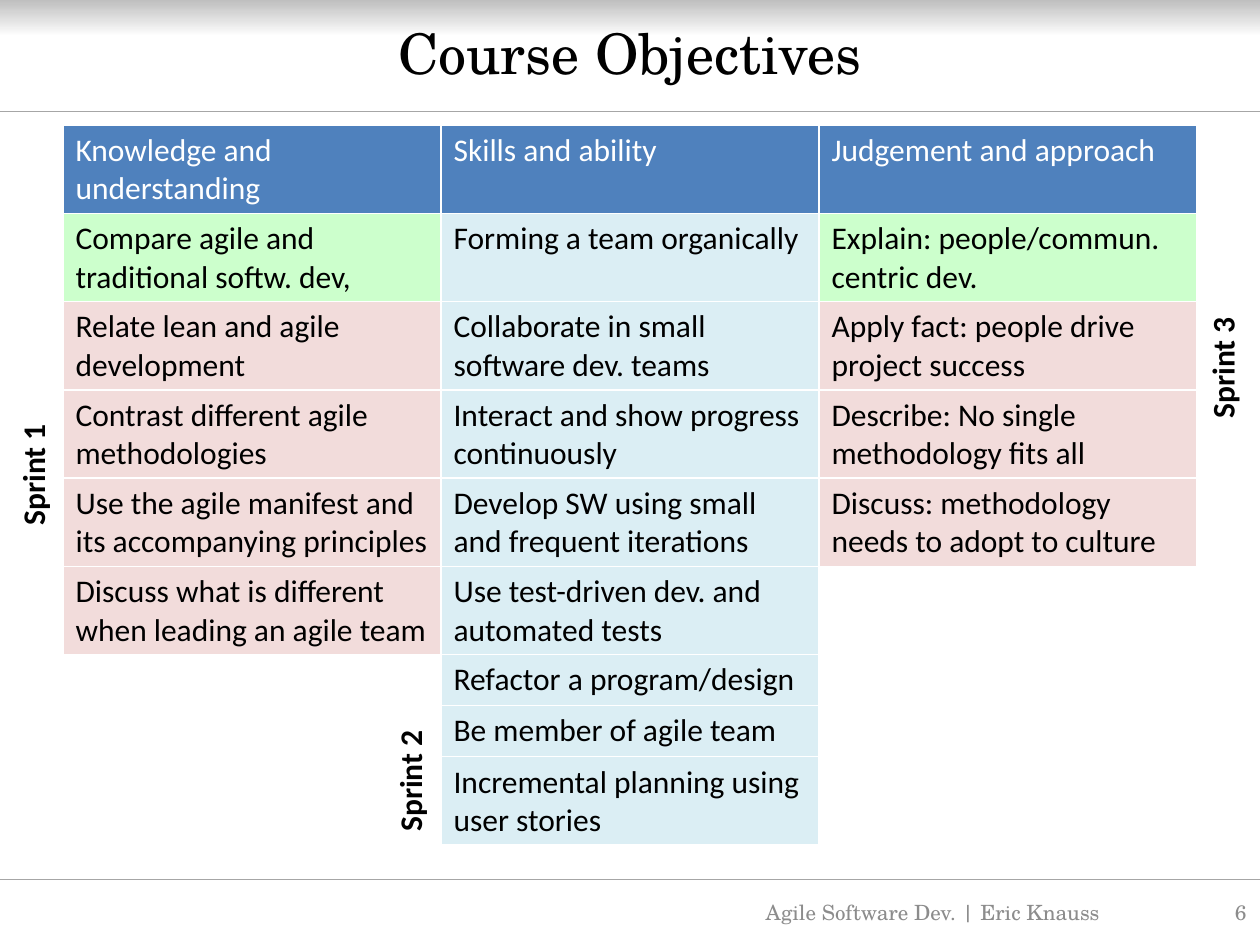
from lxml import etree
from pptx import Presentation
from pptx import util as u
from pptx.dml.color import RGBColor
from pptx.enum import shapes, text
from pptx.oxml.ns import qn

SERIF, SANS = "TeX Gyre Schola", "Calibri"
WIDTH, HEIGHT = 25.4, 19.05
BLUE, GREEN, PINK, AQUA, WHITE = "4F81BD", "CCFFCC", "F2DCDB", "DBEEF4", "FFFFFF"

# Each column: heading, colour of its first goal, colour of the others, goals
OBJECTIVES = [
    ("Knowledge and understanding", GREEN, PINK, [
        "Compare agile and traditional softw. dev,",
        "Relate lean and agile development",
        "Contrast different agile methodologies",
        "Use the agile manifest and its accompanying principles",
        "Discuss what is different when leading an agile team"]),
    ("Skills and ability", AQUA, AQUA, [
        "Forming a team organically",
        "Collaborate in small software dev. teams",
        "Interact and show progress continuously",
        "Develop SW using small and frequent iterations",
        "Use test-driven dev. and automated tests",
        "Refactor a program/design",
        "Be member of agile team",
        "Incremental planning using user stories"]),
    ("Judgement and approach", GREEN, PINK, [
        "Explain: people/commun. centric dev.",
        "Apply fact: people drive project success",
        "Describe: No single methodology fits all",
        "Discuss: methodology needs to adopt to culture"]),
]
SPRINTS = [("Sprint 1", -0.64, 9.04), ("Sprint 2", 6.96, 15.21), ("Sprint 3", 23.34, 6.88)]


def rgb(color):
    return RGBColor.from_string(color)


def set_font(p, name, size, color, bold=False):
    f = p.font
    f.name, f.size, f.bold = name, u.Pt(size), bold
    f.color.rgb = rgb(color)


def add_text(s, box, words, name, size, color, align, bold=False, wrap=True):
    sp = s.shapes.add_textbox(*map(u.Cm, box))
    tf = sp.text_frame
    tf.word_wrap = wrap
    tf.vertical_anchor = text.MSO_ANCHOR.MIDDLE
    p = tf.paragraphs[0]
    p.text, p.alignment = words, align
    set_font(p, name, size, color, bold)
    return sp


def add_rule(s, y):
    line = s.shapes.add_connector(shapes.MSO_CONNECTOR.STRAIGHT,
                                  0, u.Cm(y), u.Cm(WIDTH), u.Cm(y))
    line.line.color.rgb = rgb("A6A6A6")
    line.line.width = u.Pt(0.75)
    etree.SubElement(line._element.spPr, qn("a:effectLst"))


def add_header(s, x, y, w, h):
    # Grey band fading downwards
    band = s.shapes.add_shape(shapes.MSO_SHAPE.RECTANGLE, *map(u.Cm, (x, y, w, 0.74)))
    band.shadow.inherit = False
    band.line.fill.background()
    band.fill.gradient()
    band.fill.gradient_angle = 270
    for stop, color in zip(band.fill.gradient_stops, ("BFBFBF", WHITE)):
        stop.color.rgb = rgb(color)
    # Title and rule
    add_text(s, (x + 1.27, y + 0.08, w - 2.54, 1.96), "Course Objectives",
             SERIF, 32, "000000", text.PP_ALIGN.CENTER)
    add_rule(s, y + h)


def style_cell(cell, fill, color):
    cell.fill.solid()
    cell.fill.fore_color.rgb = rgb(fill)
    set_font(cell.text_frame.paragraphs[0], SANS, 18, color)
    # White borders go before the fill in the cell properties
    tcPr = cell._tc.get_or_add_tcPr()
    for i, side in enumerate(("lnL", "lnR", "lnT", "lnB")):
        ln = etree.Element(qn(f"a:{side}"), w=str(u.Pt(1)))
        solid = etree.SubElement(ln, qn("a:solidFill"))
        etree.SubElement(solid, qn("a:srgbClr"), val=WHITE)
        tcPr.insert(i, ln)


def add_objectives(s, x, y, w, row_h):
    rows = 1 + max(len(goals) for *_, goals in OBJECTIVES)
    cols = len(OBJECTIVES)
    table = s.shapes.add_table(rows, cols, *map(u.Cm, (x, y, w, rows * row_h))).table
    table.horz_banding = False
    for row in table.rows:
        row.height = u.Cm(row_h)
    for c, (heading, first, rest, goals) in enumerate(OBJECTIVES):
        table.columns[c].width = u.Cm(w / cols)
        for r in range(rows):
            cell = table.cell(r, c)
            if r == 0:
                cell.text, fill, color = heading, BLUE, WHITE
            elif r <= len(goals):
                cell.text, color = goals[r - 1], "000000"
                fill = first if r == 1 else rest
            else:
                fill, color = WHITE, "000000"
            style_cell(cell, fill, color)


def add_sprints(s):
    for label, x, y in SPRINTS:
        sp = add_text(s, (x, y, 2.59, 1.02), label, SANS, 18, "000000",
                      text.PP_ALIGN.LEFT, bold=True, wrap=False)
        sp.rotation = 270


def add_footer(s, x, y, w):
    add_rule(s, y)
    add_text(s, (x + 14.78, y + 0.15, 8.05, 1.02), "Agile Software Dev. | Eric Knauss",
             SERIF, 12, "8C8C8C", text.PP_ALIGN.CENTER)
    add_text(s, (x + w - 2.36, y + 0.15, 2.34, 1.02), "6",
             SERIF, 12, "8C8C8C", text.PP_ALIGN.RIGHT)


def main():
    prs = Presentation()
    prs.slide_width, prs.slide_height = u.Cm(WIDTH), u.Cm(HEIGHT)
    s = prs.slides.add_slide(prs.slide_layouts[6])
    add_header(s, 0, 0, WIDTH, 2.25)
    add_objectives(s, 1.27, 2.52, 22.86, 1.03)
    add_footer(s, 0, 17.73, WIDTH)
    add_sprints(s)
    prs.save("out.pptx")


if __name__ == "__main__":
    main()
